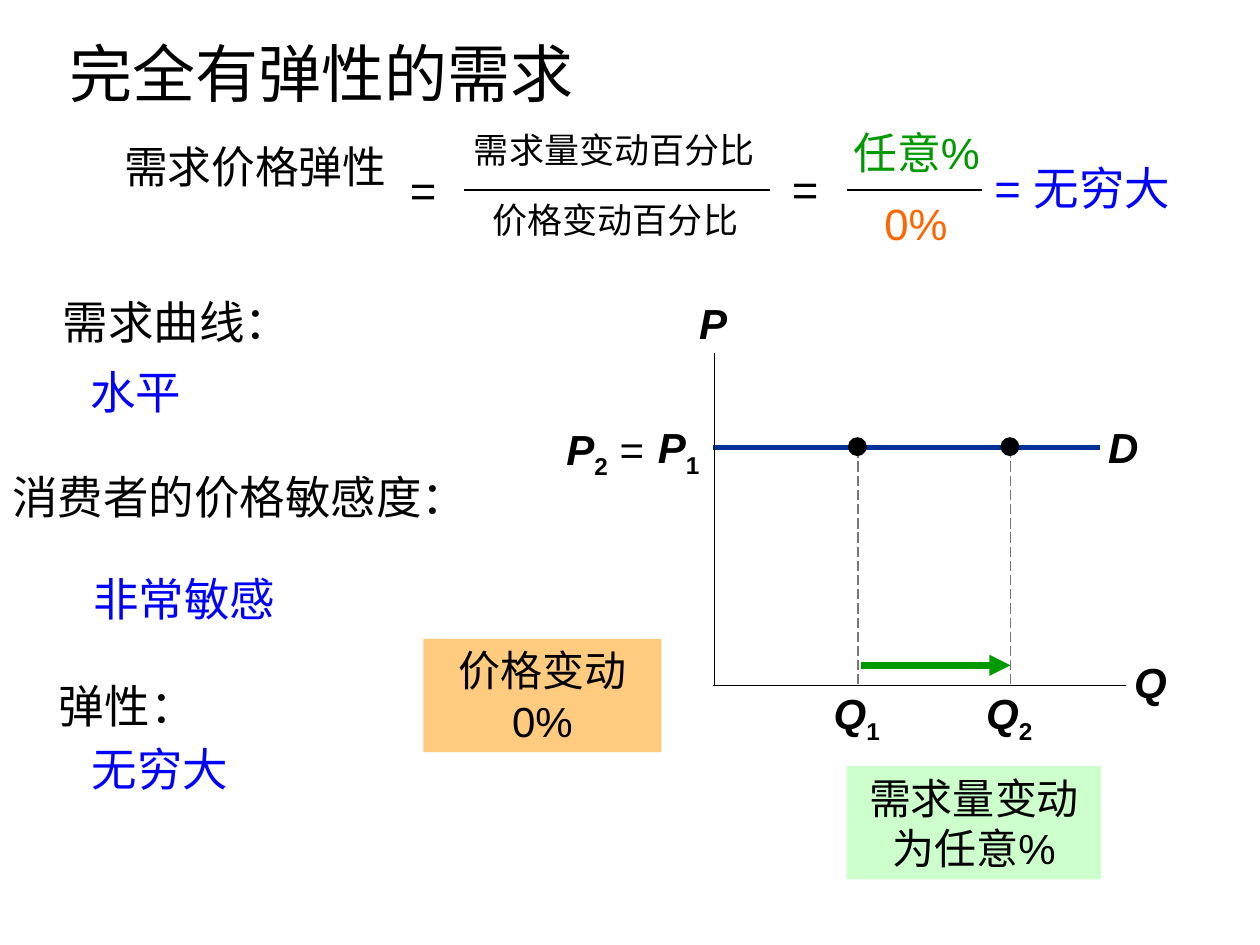
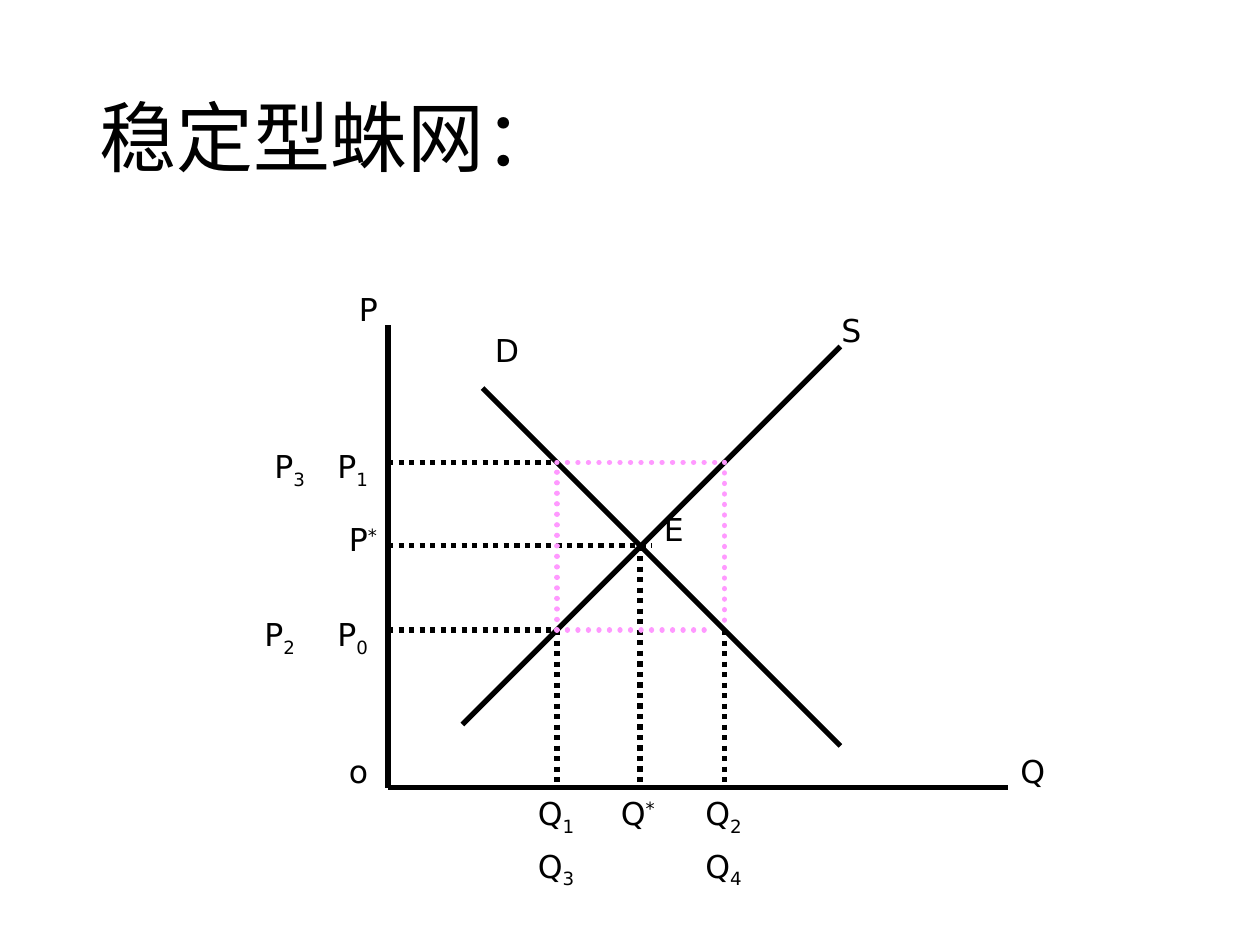
from lxml import etree
from pptx import Presentation
from pptx.dml.color import RGBColor
from pptx.enum.dml import MSO_LINE
from pptx.enum.lang import MSO_LANGUAGE_ID as Language
from pptx.enum.shapes import MSO_CONNECTOR, MSO_SHAPE
from pptx.enum.text import MSO_ANCHOR, MSO_AUTO_SIZE, PP_ALIGN
from pptx.oxml.ns import qn
from pptx.util import Inches, Pt

BLACK = RGBColor(0, 0, 0)
BLUE = RGBColor(0, 0, 255)
NAVY = RGBColor(0, 0x33, 0x99)
GREEN = RGBColor(0, 0x99, 0)
GRAY = RGBColor(0x77, 0x77, 0x77)
RED_ORANGE = RGBColor(0xFF, 0x66, 0)
ORANGE = RGBColor(0xFF, 0x99, 0)
MINT = RGBColor(0xCC, 0xFF, 0xCC)
PINK = RGBColor(0xFF, 0x99, 0xFF)

TITLE_FONT, BODY_FONT, GRAPH_FONT = "Calibri", "Arial", "DejaVu Sans"
LEFT, CENTER, RIGHT = PP_ALIGN.LEFT, PP_ALIGN.CENTER, PP_ALIGN.RIGHT
SUBSCRIPT, SUPERSCRIPT = -25, 30

# Slide 1: text, box (left, top, width, height), size, colour
FORMULA = [
    ("需求价格弹性", (0.78, 1.06, 2.49, 0.5), 25, BLACK),
    ("=", (3.11, 1.24, 0.5, 0.53), 26, BLACK),
    ("需求量变动百分比", (3.57, 0.97, 2.61, 0.4), 20, BLACK),
    ("价格变动百分比", (3.58, 1.53, 2.61, 0.4), 20, BLACK),
    ("=", (6.14, 1.23, 0.5, 0.53), 26, BLACK),
    ("任意%", (6.62, 0.95, 1.31, 0.52), 25, GREEN),
    ("0%", (6.63, 1.51, 1.28, 0.52), 25, RED_ORANGE),
    ("= 无穷大", (7.78, 1.22, 1.62, 0.53), 26, BLUE),
]
FRACTION_BARS = [(3.68, 6.11), (6.72, 7.79)]
FEATURES = [
    ("需求曲线：", (0.4, 2.26, 2.45, 0.66), BLACK),
    ("水平", (0.62, 2.82, 3.17, 0.58), BLUE),
    ("消费者的价格敏感度：", (0, 3.65, 4.2, 1.21), BLACK),
    ("非常敏感", (0.64, 4.46, 2.87, 0.54), BLUE),
    ("弹性：", (0.37, 5.31, 1.77, 0.59), BLACK),
    ("无穷大", (0.63, 5.81, 2, 0.59), BLUE),
]
# A run is (text, baseline shift)
CURVE_LABELS = [
    ([("P", 0)], (5.28, 2.31, 0.76, 0.5), CENTER),
    ([("Q", 0)], (8.75, 5.16, 0.76, 0.5), CENTER),
    ([("D", 0)], (8.59, 3.3, 0.65, 0.5), CENTER),
    ([("P", 0), ("1", SUBSCRIPT)], (4.94, 3.3, 0.71, 0.5), RIGHT),
    ([("P", 0), ("2", SUBSCRIPT), (" =", 0)], (4.32, 3.31, 0.89, 0.5), RIGHT),
]
DEMAND_POINTS = [("1", 6.81), ("2", 8.02)]
NOTES = [
    ("价格变动 0%", (3.36, 5.07, 1.89, 0.9), ORANGE, 50),
    ("需求量变动为任意%", (6.72, 6.08, 2.02, 0.9), MINT, 100),
]

# Slide 2
ORIGIN_X, ORIGIN_Y = 3.08, 6.25
Q_LOW, Q_STAR, Q_HIGH = 4.42, 5.08, 5.75
P_HIGH, P_STAR, P_LOW = 3.67, 4.33, 5
SOLID_LINES = [
    (ORIGIN_X, 2.58, ORIGIN_X, ORIGIN_Y),
    (ORIGIN_X, ORIGIN_Y, 8, ORIGIN_Y),
    (3.83, 3.08, 6.67, 5.92),
    (3.67, 5.75, 6.67, 2.75),
]
PRICE_GUIDES = [(P_STAR, 5.17), (P_LOW, Q_LOW), (P_HIGH, Q_LOW)]
QUANTITY_GUIDES = [(Q_STAR, P_STAR), (Q_LOW, P_LOW), (Q_HIGH, P_LOW)]
COBWEB = [
    (Q_LOW, P_LOW, Q_LOW, P_HIGH),
    (Q_LOW, P_HIGH, Q_HIGH, P_HIGH),
    (Q_HIGH, P_HIGH, Q_HIGH, P_LOW),
    (Q_LOW, P_LOW, 5.67, P_LOW),
]
# letter, mark, mark shift, left, top
COBWEB_LABELS = [
    ("o", "", 0, 2.67, 5.92), ("Q", "", 0, 8, 5.92), ("P", "", 0, 2.75, 2.25),
    ("D", "", 0, 3.83, 2.58), ("S", "", 0, 6.58, 2.42), ("E", "", 0, 5.17, 4),
    ("P", "*", SUPERSCRIPT, 2.67, P_STAR - 0.25),
    ("P", "1", SUBSCRIPT, 2.58, P_HIGH - 0.17),
    ("P", "3", SUBSCRIPT, 2.08, P_HIGH - 0.17),
    ("P", "0", SUBSCRIPT, 2.58, P_LOW - 0.17),
    ("P", "2", SUBSCRIPT, 2, P_LOW - 0.17),
    ("Q", "*", SUPERSCRIPT, Q_STAR - 0.25, 6.25),
    ("Q", "1", SUBSCRIPT, Q_LOW - 0.25, 6.25),
    ("Q", "3", SUBSCRIPT, Q_LOW - 0.25, 6.67),
    ("Q", "2", SUBSCRIPT, Q_HIGH - 0.25, 6.25),
    ("Q", "4", SUBSCRIPT, Q_HIGH - 0.25, 6.67),
]


def inches(values):
    return [Inches(value) for value in values]


def write(shape, runs, size, color=BLACK, font=BODY_FONT, align=CENTER,
          spacing=1.0, anchor=MSO_ANCHOR.TOP, **styles):
    """Fill a shape with one paragraph; runs is a string or (text, shift) pairs."""
    frame = shape.text_frame
    frame.word_wrap = True
    frame.auto_size = MSO_AUTO_SIZE.NONE
    frame.vertical_anchor = anchor
    paragraph = frame.paragraphs[0]
    paragraph.alignment = align
    paragraph.line_spacing = spacing
    if isinstance(runs, str):
        runs = [(runs, 0)]
    text_format = {"name": font, "size": Pt(size),
                   "language_id": Language.SIMPLIFIED_CHINESE, **styles}
    for text, shift in runs:
        run = paragraph.add_run()
        run.text = text
        for name, value in text_format.items():
            setattr(run.font, name, value)
        run.font.color.rgb = color
        if shift:
            run.font.italic = False
            run.font._element.set("baseline", str(shift * 1000))


def add_text(slide, runs, box, size, **options):
    write(slide.shapes.add_textbox(*inches(box)), runs, size, **options)


def add_filled(slide, kind, box, color, opacity=100):
    shape = slide.shapes.add_shape(kind, *inches(box))
    shape.shadow.inherit = False
    shape.fill.solid()
    shape.fill.fore_color.rgb = color
    shape.line.fill.background()
    if opacity < 100:
        color_element = shape._element.spPr.find(f".//{qn('a:srgbClr')}")
        etree.SubElement(color_element, qn("a:alpha"), val=str(opacity * 1000))
    return shape


def add_line(slide, ends, color=BLACK, width=1, dash=None, arrow=False, round_cap=False):
    connector = slide.shapes.add_connector(MSO_CONNECTOR.STRAIGHT, *inches(ends))
    line = connector.line
    line.color.rgb = color
    line.width = Pt(width)
    if dash:
        line.dash_style = dash
    properties = connector._element.spPr
    outline = properties.find(qn("a:ln"))
    if round_cap:
        outline.set("cap", "rnd")
    if arrow:
        etree.SubElement(outline, qn("a:tailEnd"), type="triangle")
    etree.SubElement(properties, qn("a:effectLst"))


def add_titled_slide(presentation, title, box, size):
    slide = presentation.slides.add_slide(presentation.slide_layouts[5])
    shape = slide.shapes.title
    shape.left, shape.top, shape.width, shape.height = inches(box)
    write(shape, title, size, font=TITLE_FONT, align=LEFT, spacing=0.9,
          anchor=MSO_ANCHOR.MIDDLE)
    return slide


def build_elastic_demand(presentation):
    slide = add_titled_slide(presentation, "完全有弹性的需求", (0.45, 0.27, 9.27, 0.68), 36)
    for text, box, size, color in FORMULA:
        add_text(slide, text, box, size, color=color)
    for start, end in FRACTION_BARS:
        add_line(slide, (start, 1.51, end, 1.51))
    for text, box, color in FEATURES:
        add_text(slide, text, box, 26, color=color, align=LEFT, spacing=1.05)

    label_style = {"bold": True, "italic": True}
    price, axis = 3.55, 5.44
    add_line(slide, (5.66, price, 8.73, price), NAVY, 3)
    add_line(slide, (5.67, 2.8, 5.67, axis))
    add_line(slide, (5.66, axis, 8.94, axis))
    for runs, box, align in CURVE_LABELS[:-1]:
        add_text(slide, runs, box, 24, align=align, **label_style)
    runs, box, align = CURVE_LABELS[-1]
    add_text(slide, runs, box, 24, align=align, **label_style)
    equals_run = slide.shapes[-1].text_frame.paragraphs[0].runs[-1]
    equals_run.font.bold = equals_run.font.italic = False

    for number, quantity in DEMAND_POINTS:
        add_line(slide, (quantity, price, quantity, 5.43), GRAY, 0.75, MSO_LINE.LONG_DASH)
        add_filled(slide, MSO_SHAPE.OVAL, (quantity - 0.08, price - 0.08, 0.15, 0.15), BLACK)
        add_text(slide, [("Q", 0), (number, SUBSCRIPT)],
                 (quantity - 0.33, 5.41, 0.64, 0.5), 24, **label_style)
    add_line(slide, (6.83, 5.28, 8.02, 5.28), GREEN, 4, arrow=True)
    for text, box, color, opacity in NOTES:
        write(add_filled(slide, MSO_SHAPE.RECTANGLE, box, color, opacity), text, 24)


def build_cobweb(presentation):
    slide = add_titled_slide(presentation, "稳定型蛛网：", (0.69, 0.4, 8.62, 1.45), 44)
    for ends in SOLID_LINES:
        add_line(slide, ends, width=3)
    guides = [(ORIGIN_X, price, end, price) for price, end in PRICE_GUIDES]
    guides += [(quantity, top, quantity, ORIGIN_Y) for quantity, top in QUANTITY_GUIDES]
    for ends in guides:
        add_line(slide, ends, width=3, dash=MSO_LINE.ROUND_DOT)
    for ends in COBWEB:
        add_line(slide, ends, PINK, 3, MSO_LINE.ROUND_DOT, round_cap=True)
    for letter, mark, shift, left, top in COBWEB_LABELS:
        runs = [(letter, 0), (mark, shift)] if mark else letter
        width = 1 if mark else 0.5
        add_text(slide, runs, (left, top, width, 0.5), 18, font=GRAPH_FONT, align=LEFT)


def main():
    presentation = Presentation()
    presentation.slide_width, presentation.slide_height = inches((10, 7.5))
    build_elastic_demand(presentation)
    build_cobweb(presentation)
    presentation.save("out.pptx")


if __name__ == "__main__":
    main()
